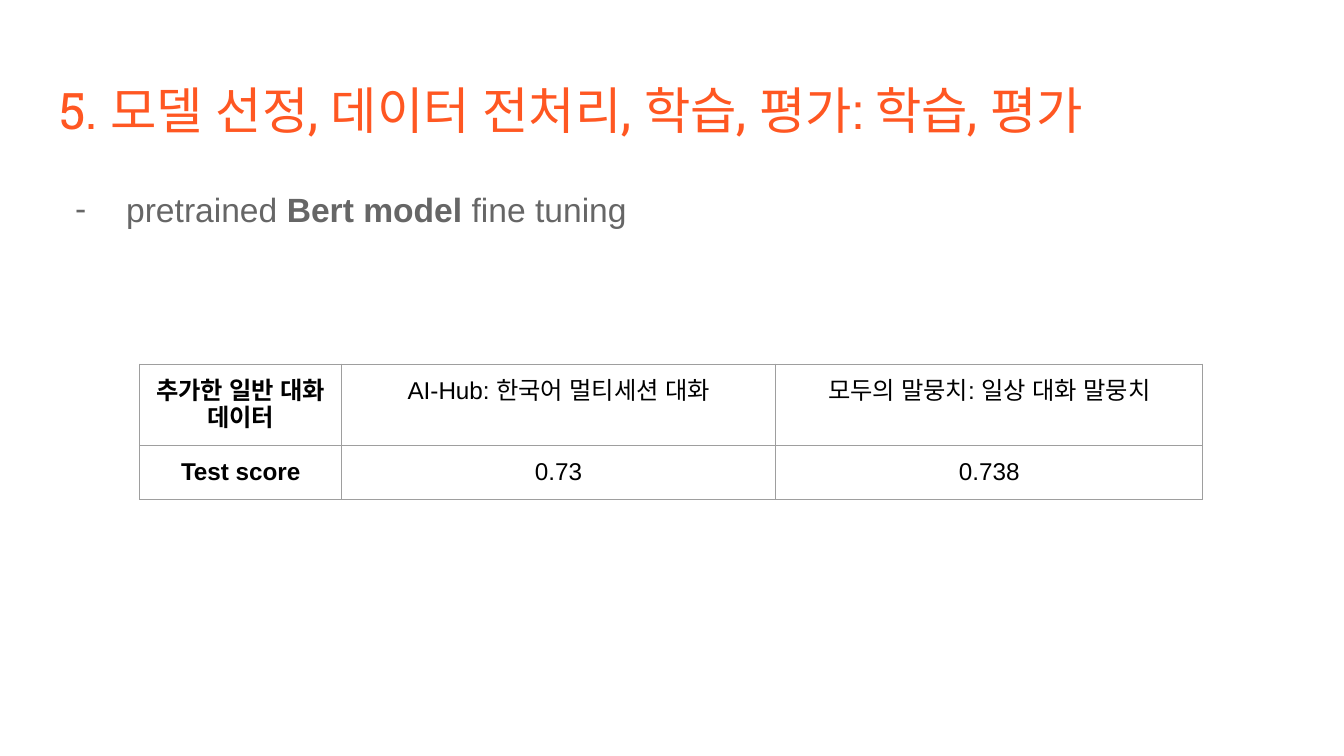
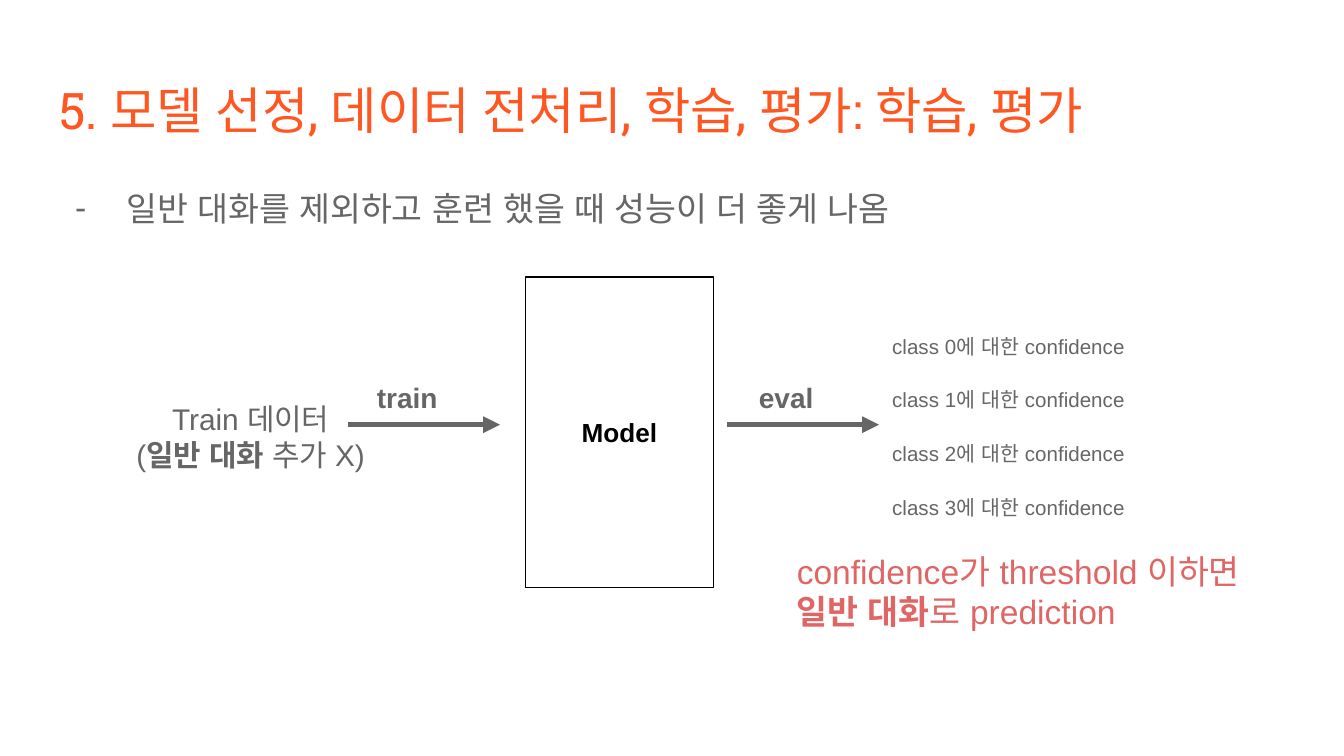
from lxml.etree import SubElement
from pptx import Presentation
from pptx.dml.color import RGBColor
from pptx.enum.shapes import MSO_CONNECTOR as Connector, MSO_SHAPE as Shape
from pptx.enum.text import MSO_ANCHOR as Anchor, MSO_AUTO_SIZE as AutoSize, PP_ALIGN as Align
from pptx.oxml import parse_xml
from pptx.oxml.ns import nsdecls, qn
from pptx.util import Inches, Pt

COLORS = {"title": "FF5722", "text": "666666", "note": "E06666", "ink": "000000", "grid": "9E9E9E"}
TITLE = "5. 모델 선정, 데이터 전처리, 학습, 평가: 학습, 평가"
FRAME_FORMAT = {
    "word_wrap": True,
    "margin_left": Inches(0.1),
    "margin_right": Inches(0.1),
    "margin_top": Inches(0.1),
    "margin_bottom": Inches(0.1),
}


def write(frame, paragraphs, size, color="text", font="Arial", align=Align.LEFT,
          anchor=Anchor.TOP, fit=AutoSize.NONE, dash=False, spacing=1.0):
    for key, value in {**FRAME_FORMAT, "vertical_anchor": anchor, "auto_size": fit}.items():
        setattr(frame, key, value)
    for index, runs in enumerate(paragraphs):
        paragraph = frame.add_paragraph() if index else frame.paragraphs[0]
        paragraph.alignment = align
        paragraph.line_spacing = spacing
        if dash:
            properties = paragraph._p.get_or_add_pPr()
            properties.set("marL", str(Inches(0.5)))
            properties.set("indent", str(Inches(-0.38)))
            bullet_color = SubElement(properties, qn("a:buClr"))
            SubElement(bullet_color, qn("a:srgbClr")).set("val", COLORS[color])
            SubElement(properties, qn("a:buSzPts")).set("val", str(size * 100))
            SubElement(properties, qn("a:buFont")).set("typeface", font)
            SubElement(properties, qn("a:buChar")).set("char", "-")
        for text, bold in runs:
            run = paragraph.add_run()
            run.text = text
            for key, value in {"size": Pt(size), "bold": bold, "name": font}.items():
                setattr(run.font, key, value)
            run.font.color.rgb = RGBColor.from_string(COLORS[color])
            properties = run._r.get_or_add_rPr()
            properties.set("lang", "ko")
            properties.set("kern", "0")
            for script in ("a:ea", "a:cs"):
                SubElement(properties, qn(script)).set("typeface", font)


def add_text(slide, box, paragraphs, size, **style):
    textbox = slide.shapes.add_textbox(*map(Inches, box))
    write(textbox.text_frame, paragraphs, size, **style)


deck = Presentation()
deck.slide_width, deck.slide_height = Inches(10), Inches(10 * 9 / 16)
scores_slide, flow_slide = (deck.slides.add_slide(deck.slide_layouts[5]) for _ in range(2))

for slide in (scores_slide, flow_slide):
    heading = slide.shapes.title
    heading.left, heading.top, heading.width, heading.height = map(Inches, (0.34, 0.49, 9.32, 0.63))
    write(heading.text_frame, [[(TITLE, False)]], 27, color="title", font="Roboto Slab")

add_text(scores_slide, (0.34, 1.26, 9.32, 3.74),
         [[("pretrained ", False), ("Bert model", True), (" fine tuning", False)]],
         18, dash=True, spacing=1.15)

SCORES = [
    ["추가한 일반 대화 데이터", "AI-Hub: 한국어 멀티세션 대화", "모두의 말뭉치: 일상 대화 말뭉치"],
    ["Test score", "0.73", "0.738"],
]
column_widths, row_heights = (1.5, 3.23, 3.18), (0.46, 0.31)
scores = scores_slide.shapes.add_table(
    2, 3, Inches(1.04), Inches(2.71), Inches(sum(column_widths)), Inches(sum(row_heights))).table
scores.first_row = scores.horz_banding = False
for column, width in zip(scores.columns, column_widths):
    column.width = Inches(width)
for row, height in zip(scores.rows, row_heights):
    row.height = Inches(height)
for r, texts in enumerate(SCORES):
    for c, text in enumerate(texts):
        cell = scores.cell(r, c)
        write(cell.text_frame, [[(text, c == 0)]], 13, color="ink", align=Align.CENTER, fit=None, spacing=None)
        for side in ("left", "right", "top", "bottom"):
            setattr(cell, f"margin_{side}", Inches(0.1))
        cell.fill.background()
        for position, side in enumerate("LRTB"):
            cell._tc.get_or_add_tcPr().insert(position, parse_xml(
                f'<a:ln{side} {nsdecls("a")} w="{Pt(0.75)}"><a:solidFill>'
                f'<a:srgbClr val="{COLORS["grid"]}"/></a:solidFill></a:ln{side}>'))

add_text(flow_slide, (0.34, 1.3, 9.11, 0.81),
         [[("일반 대화를 제외하고 훈련 했을 때 성능이 더 좋게 나옴", False)]],
         18, dash=True, fit=AutoSize.SHAPE_TO_FIT_TEXT)

model = flow_slide.shapes.add_shape(Shape.RECTANGLE, *map(Inches, (3.91, 2.06, 1.4, 2.31)))
model.shadow.inherit = False
model.fill.background()
model.line.color.rgb = RGBColor.from_string(COLORS["ink"])
model.line.width = Pt(0.75)
write(model.text_frame, [[("Model", True)]], 14, color="ink", align=Align.CENTER, anchor=Anchor.MIDDLE)

add_text(flow_slide, (0.86, 2.88, 2.01, 0.74),
         [[("Train 데이터", False)], [("(", False), ("일반 대화", True), (" 추가 X)", False)]],
         16, align=Align.CENTER, fit=AutoSize.SHAPE_TO_FIT_TEXT)

for number in range(4):
    add_text(flow_slide, (6.54, 2.39 + 0.4 * number, 2.01, 0.39),
             [[(f"class {number}에 대한 confidence", False)]], 11, fit=AutoSize.SHAPE_TO_FIT_TEXT)

for step, start in (("train", 2.59), ("eval", 5.41)):
    arrow = flow_slide.shapes.add_connector(
        Connector.STRAIGHT, *map(Inches, (start, 3.16, start + 1.13, 3.16)))
    arrow.line.color.rgb = RGBColor.from_string(COLORS["text"])
    arrow.line.width = Pt(3)
    SubElement(arrow.line._get_or_add_ln(), qn("a:tailEnd")).set("type", "triangle")
    SubElement(arrow._element.spPr, qn("a:effectLst"))
    add_text(flow_slide, (start - 0.08, 2.73, 1.04, 0.45), [[(step, True)]],
             15, align=Align.CENTER, fit=AutoSize.SHAPE_TO_FIT_TEXT)

add_text(flow_slide, (5.83, 4, 3.58, 0.81),
         [[("confidence가 threshold 이하면", False)], [("일반 대화", True), ("로 prediction", False)]],
         18, color="note", fit=AutoSize.SHAPE_TO_FIT_TEXT)

deck.save("out.pptx")
